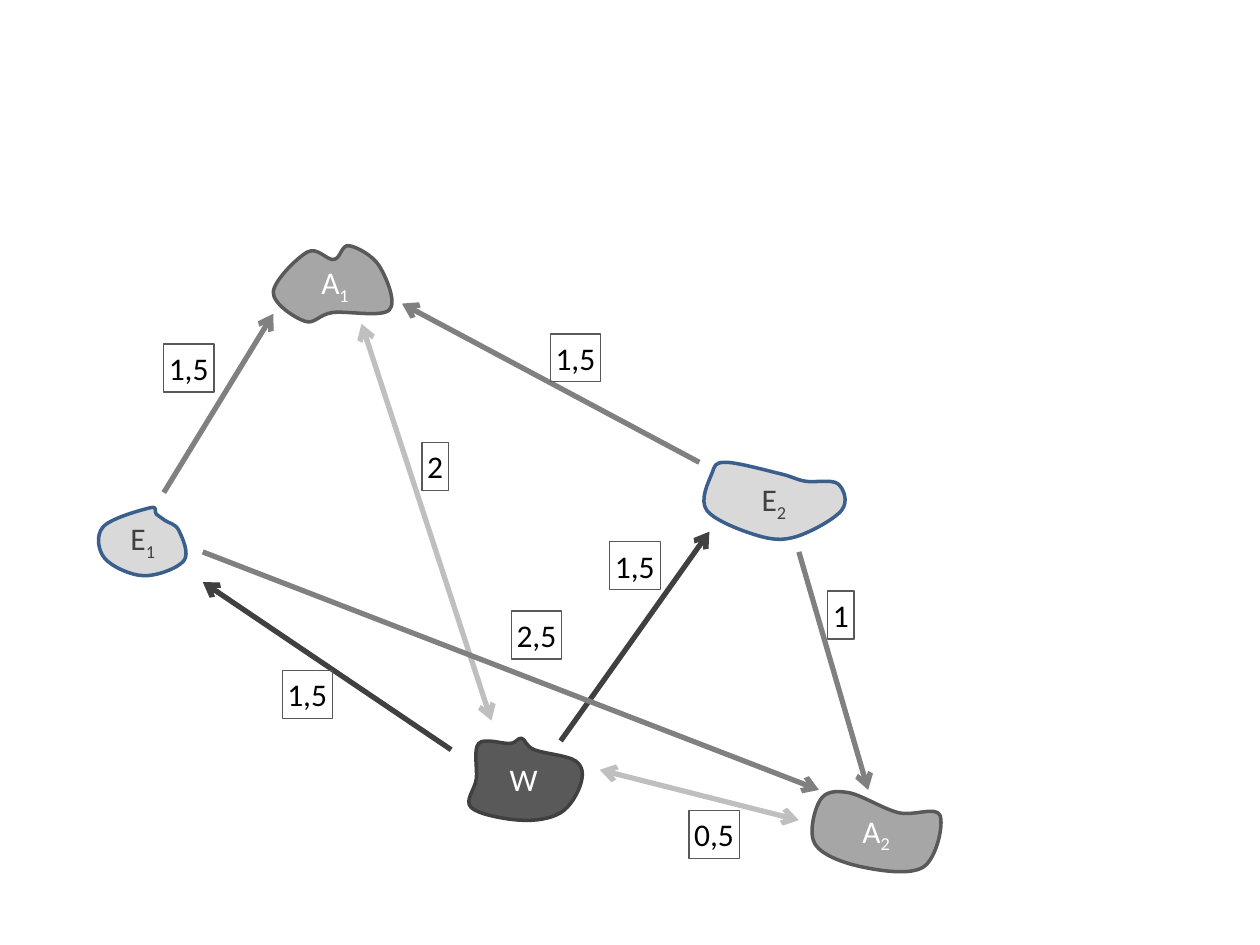
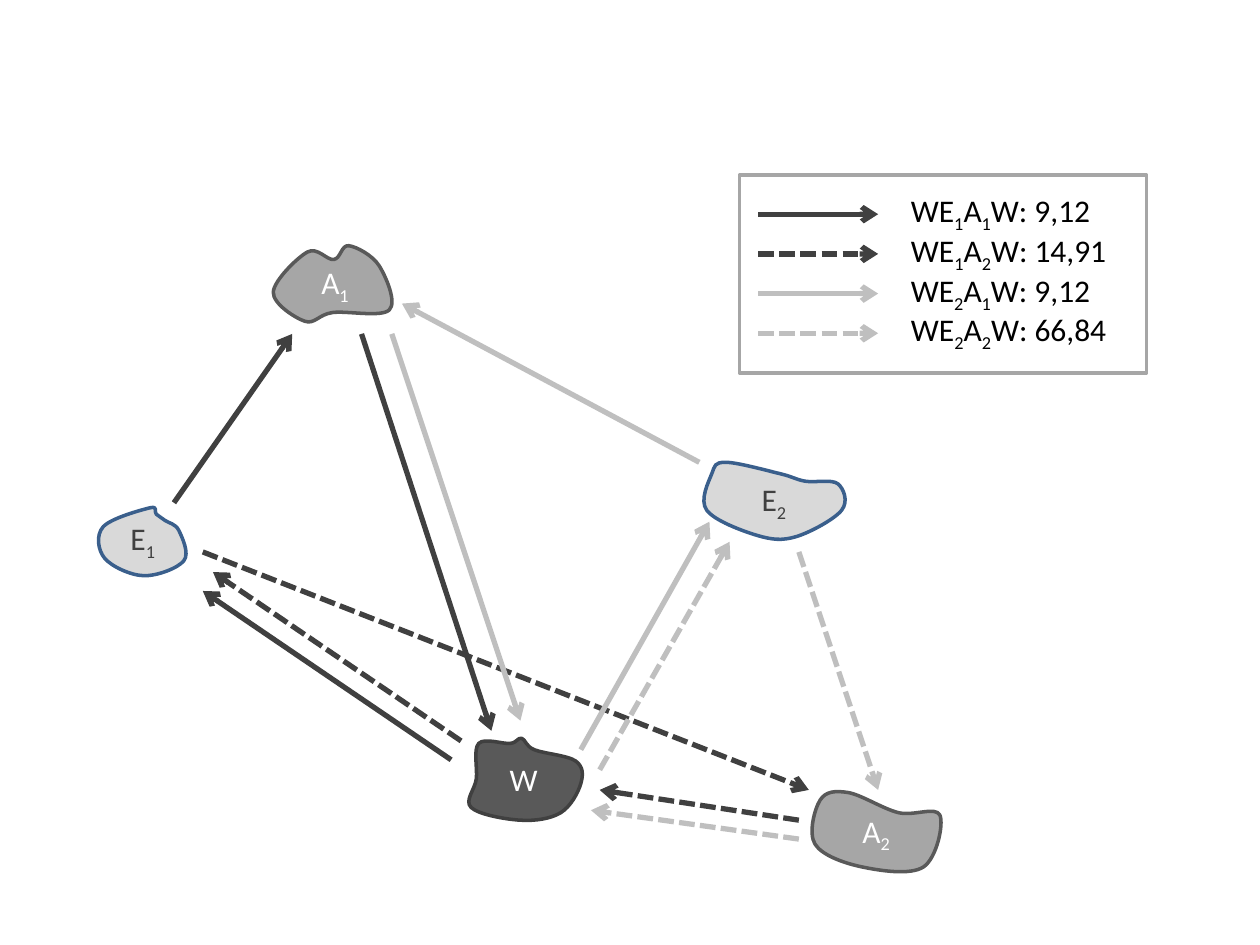
from lxml.etree import SubElement
from pptx import Presentation
from pptx.dml.color import RGBColor
from pptx.enum.shapes import MSO_CONNECTOR, MSO_SHAPE
from pptx.enum.text import MSO_ANCHOR, MSO_AUTO_SIZE, PP_ALIGN
from pptx.oxml.ns import qn
from pptx.util import Pt

FONT = "Calibri"
COLORS = {
    "black": "000000", "white": "FFFFFF", "dark": "404040", "outline": "595959",
    "medium": "808080", "gray": "A6A6A6", "light": "BFBFBF", "pale": "D9D9D9", "blue": "3A5F8C",
}

STYLES = {
    "A": ("gray", "outline", "white"),
    "W": ("outline", "dark", "white"),
    "E": ("pale", "blue", "dark"),
}

PLACES = {
    "A_1": [(175.7, 144), (156.2, 167), (174.2, 183.6), (190.1, 178.6),
            (222.5, 177.1), (216.7, 151.9), (199.4, 140.4), (190.8, 148.3)],
    "W": [(291.6, 424.8), (273.6, 424.8), (272.2, 445), (269.3, 461.5), (297.4, 468.7),
          (320.4, 464.4), (331.9, 447.8), (329, 434.9), (305.3, 428.4), (298.1, 421.9)],
    "A_2": [(484.6, 452.9), (468.7, 457.2), (465.8, 482.4), (492.5, 495.4),
            (527.8, 495.4), (537.1, 465.8), (513.4, 464.4)],
    "E_1": [(85.7, 290.2), (59, 301), (59.8, 319), (82.1, 329),
            (105.1, 320.4), (102.2, 303.1), (94.3, 297.4), (89.3, 293.8)],
    "E_2": [(445.7, 270.7), (414.7, 264.2), (406.8, 270.7), (403.9, 291.6), (432.7, 306),
            (455, 306.7), (481, 291.6), (478.8, 276.5), (460.1, 275)],
}

E1_EAST = (115.9, 315.4)
E2_WEST = (399.6, 264.2)
E2_SOUTH = (456.5, 315.4)
A1_EAST = (229.7, 173.5)
A1_SOUTH = (206.6, 190.8)
A2_WEST = (456.5, 468.7)
W_EAST = (342.7, 439.9)

ROADS = [
    ((257.8, 428.4), (115.9, 332.6), "dark", False, "1,5", (161.3, 383)),
    ((320.4, 423.4), (405.4, 303.8), "dark", False, "1,5", (348.5, 309.6)),
    ((280.8, 411.8), (206.6, 185), "light", True, "2", (241.2, 252.7)),
    (W_EAST, A2_WEST, "light", True, "0,5", (393.8, 463)),
    (E2_WEST, A1_EAST, "medium", False, "1,5", (314.6, 190.8)),
    ((93.6, 281.5), (156.2, 179.3), "medium", False, "1,5", (93.6, 196.6)),
    (E2_SOUTH, (496.1, 451.4), "medium", False, "1", (473, 337.7)),
    (E1_EAST, (468, 451.4), "medium", False, "2,5", (292.3, 349.2)),
]

TOURS = [
    ("WE_1_A_1_W: 9,12", "dark", False, 119.5, [
        ((257.8, 434.2), (115.9, 337.7)),
        ((99.4, 287.3), (167, 190.8)),
        (A1_SOUTH, (280.8, 417.6))]),
    ("WE_1_A_2_W: 14,91", "dark", True, 128.9, [
        ((263.5, 423.4), (121.7, 326.9)),
        (E1_EAST, (462.2, 451.4)),
        (A2_WEST, (342.7, 451.4))]),
    ("WE_2_A_1_W: 9,12", "light", False, 119.5, [
        ((331.9, 428.4), (405.4, 298.1)),
        (E2_WEST, A1_EAST),
        ((223.9, 190.8), (297.4, 411.8))]),
    ("WE_2_A_2_W: 66,84", "light", True, 128.9, [
        (W_EAST, (416.9, 309.6)),
        (E2_SOUTH, (501.8, 451.4)),
        ((456.5, 479.5), (337.7, 463))]),
]


def rgb(color):
    return RGBColor.from_string(COLORS[color])


def paint(shape, fill, line, width):
    shape.shadow.inherit = False
    if fill:
        shape.fill.solid()
        shape.fill.fore_color.rgb = rgb(fill)
    else:
        shape.fill.background()
    shape.line.color.rgb = rgb(line)
    shape.line.width = Pt(width)


def write(frame, wording, color, align):
    paragraph = frame.paragraphs[0]
    paragraph.alignment = align
    for index, part in enumerate(wording.split("_")):
        run = paragraph.add_run()
        run.text = part
        run.font.name = FONT
        run.font.size = Pt(18)
        run.font.color.rgb = rgb(color)
        if index % 2:
            run._r.get_or_add_rPr().set("baseline", "-25000")


def fit_text(frame):
    frame.word_wrap = False
    frame.auto_size = MSO_AUTO_SIZE.SHAPE_TO_FIT_TEXT
    frame.vertical_anchor = MSO_ANCHOR.TOP


def add_arrow(shapes, origin, start, end, color, dashed=False, both_ways=False):
    left, top = origin
    arrow = shapes.add_connector(
        MSO_CONNECTOR.STRAIGHT,
        Pt(left + start[0]), Pt(top + start[1]), Pt(left + end[0]), Pt(top + end[1]))
    arrow.line.color.rgb = rgb(color)
    arrow.line.width = Pt(3)
    properties = arrow.element.spPr
    line = properties.find(qn("a:ln"))
    if dashed:
        SubElement(line, qn("a:prstDash"), val="sysDash")
    if both_ways:
        SubElement(line, qn("a:headEnd"), type="arrow")
    SubElement(line, qn("a:tailEnd"), type="arrow")
    SubElement(properties, qn("a:effectLst"))


def smooth_controls(corners):
    count = len(corners)
    controls = []
    for index, start in enumerate(corners):
        before = corners[index - 1]
        end = corners[(index + 1) % count]
        after = corners[(index + 2) % count]
        controls.append([s + (e - b) / 6 for b, s, e in zip(before, start, end)])
        controls.append([e - (a - s) / 6 for s, e, a in zip(start, end, after)])
        controls.append(end)
    return controls


def curve_outline(shape):
    path = shape.element.find(".//" + qn("a:path"))
    segments = path.findall(qn("a:lnTo"))
    for first in range(0, len(segments), 3):
        curve = SubElement(path, qn("a:cubicBezTo"))
        for segment in segments[first:first + 3]:
            curve.append(segment[0])
            path.remove(segment)
    path.append(path.find(qn("a:close")))


def add_places(shapes, origin):
    left, top = origin
    for name, corners in PLACES.items():
        fill, line, text_color = STYLES[name[0]]
        points = [(Pt(left + x), Pt(top + y)) for x, y in [corners[0], *smooth_controls(corners)]]
        builder = shapes.build_freeform(*points[0])
        builder.add_line_segments(points[1:], close=True)
        place = builder.convert_to_shape()
        curve_outline(place)
        paint(place, fill, line, 2)
        place.text_frame.vertical_anchor = MSO_ANCHOR.MIDDLE
        write(place.text_frame, name, text_color, PP_ALIGN.CENTER)


def add_distance(shapes, left, top, wording):
    width = 28.8 if "," in wording else 15.1
    distance = shapes.add_shape(MSO_SHAPE.RECTANGLE, Pt(left), Pt(top), Pt(width), Pt(27.4))
    paint(distance, None, "outline", 0.75)
    frame = distance.text_frame
    frame.margin_left = frame.margin_right = frame.margin_top = frame.margin_bottom = Pt(2.88)
    fit_text(frame)
    write(frame, wording, "black", PP_ALIGN.LEFT)


def add_road_map(shapes, origin):
    add_places(shapes, origin)
    for start, end, color, both_ways, _, _ in ROADS:
        add_arrow(shapes, origin, start, end, color, both_ways=both_ways)
    for *_, wording, (x, y) in ROADS:
        add_distance(shapes, origin[0] + x, origin[1] + y, wording)


def add_tour_map(shapes, origin):
    add_places(shapes, origin)
    for _, color, dashed, _, legs in TOURS:
        for start, end in legs:
            add_arrow(shapes, origin, start, end, color, dashed)


def add_legend(shapes, left, top, width, height):
    for row, (wording, color, dashed, text_width, _) in enumerate(TOURS):
        offset = 22.68 * row
        add_arrow(shapes, (left, top + offset), (10.8, 22.3), (79.2, 22.3), color, dashed)
        entry = shapes.add_textbox(
            Pt(left + 90.8), Pt(top + 5.7 + offset), Pt(text_width), Pt(28.8))
        fit_text(entry.text_frame)
        write(entry.text_frame, wording, "black", PP_ALIGN.LEFT)
    border = shapes.add_shape(MSO_SHAPE.RECTANGLE, Pt(left), Pt(top), Pt(width), Pt(height))
    paint(border, None, "gray", 2)


presentation = Presentation()
presentation.slide_width = Pt(720)
presentation.slide_height = Pt(540)
blank = presentation.slide_layouts[6]

roads = presentation.slides.add_slide(blank)
add_road_map(roads.shapes.add_group_shape().shapes, (0, 0))

tours = presentation.slides.add_slide(blank)
add_tour_map(tours.shapes, (0, 0))
add_legend(tours.shapes, 422.6, 100.1, 232.6, 113)

presentation.save("out.pptx")
